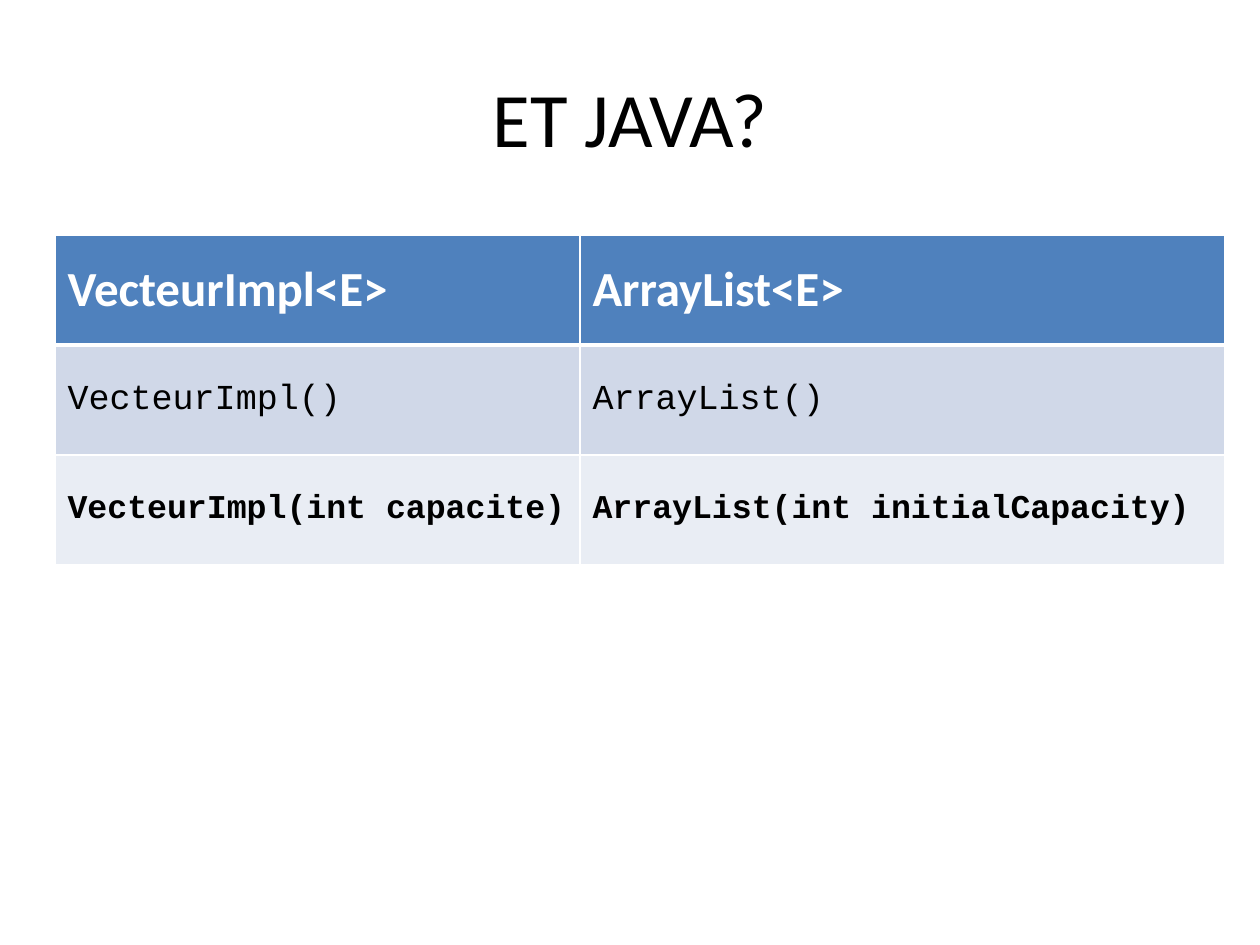
from dataclasses import dataclass

from lxml import etree
from pptx import Presentation
from pptx.dml.color import RGBColor
from pptx.enum.text import MSO_ANCHOR, PP_ALIGN
from pptx.oxml.ns import qn
from pptx.util import Emu, Pt

MIDDLE = MSO_ANCHOR.MIDDLE
CENTER = PP_ALIGN.CENTER

BLACK = RGBColor(0x00, 0x00, 0x00)
WHITE = RGBColor(0xFF, 0xFF, 0xFF)
BLUE = RGBColor(0x4F, 0x81, 0xBD)
LIGHT = RGBColor(0xD0, 0xD8, 0xE8)
PALE = RGBColor(0xE9, 0xED, 0xF4)

SANS = "Calibri"
MONO = "Courier New"
COLS = (525, 645)
ROW_H = 110


@dataclass(frozen=True)
class Style:
    font: str
    size: int
    color: RGBColor
    bold: bool = False


@dataclass(frozen=True)
class Row:
    texts: tuple[str, str]
    style: Style
    fill: RGBColor


TITLE = Style(SANS, 44, BLACK)
ROWS = (
    Row(("VecteurImpl<E>", "ArrayList<E>"), Style(SANS, 28, WHITE, True), BLUE),
    Row(("VecteurImpl()", "ArrayList()"), Style(MONO, 20, BLACK), LIGHT),
    Row(("VecteurImpl(int capacite)", "ArrayList(int initialCapacity)"),
        Style(MONO, 19, BLACK, True), PALE),
)


def px(n: int) -> Emu:
    return Emu(round(n * 914400 / 126))


def write(frame, text: str, style: Style) -> None:
    run = frame.paragraphs[0].add_run()
    run.text = text
    font = run.font
    font.name = style.font
    font.size = Pt(style.size)
    font.bold = style.bold
    font.color.rgb = style.color


def edge(cell, sides: dict[str, int]) -> None:
    """Draw white cell borders; sides maps L, R, T, B to points."""
    props = cell._tc.get_or_add_tcPr()
    for i, (side, width) in enumerate(sides.items()):
        line = etree.Element(qn(f"a:ln{side}"), w=str(Pt(width)))
        fill = etree.SubElement(line, qn("a:solidFill"))
        etree.SubElement(fill, qn("a:srgbClr"), val=str(WHITE))
        props.insert(i, line)


def add_title(slide, text: str) -> None:
    box = slide.shapes.add_textbox(px(63), px(38), px(1134), px(157))
    frame = box.text_frame
    frame.word_wrap = True
    frame.vertical_anchor = MIDDLE
    frame.paragraphs[0].alignment = CENTER
    write(frame, text, TITLE)


def add_grid(slide, rows: tuple[Row, ...]) -> None:
    table = slide.shapes.add_table(
        len(rows), len(COLS), px(55), px(235),
        px(sum(COLS)), px(ROW_H * len(rows))).table
    for col, width in zip(table.columns, COLS):
        col.width = px(width)
    for r, row in enumerate(rows):
        table.rows[r].height = px(ROW_H)
        for c, text in enumerate(row.texts):
            cell = table.cell(r, c)
            cell.vertical_anchor = MIDDLE
            cell.fill.solid()
            cell.fill.fore_color.rgb = row.fill
            edge(cell, {"L": 1, "R": 1, "T": 3 if r == 1 else 1,
                        "B": 3 if r == 0 else 1})
            write(cell.text_frame, text, row.style)


def main() -> None:
    deck = Presentation()
    deck.slide_width = px(1260)
    deck.slide_height = px(945)
    slide = deck.slides.add_slide(deck.slide_layouts[6])
    add_title(slide, "ET JAVA?")
    add_grid(slide, ROWS)
    deck.save("out.pptx")


if __name__ == "__main__":
    main()
